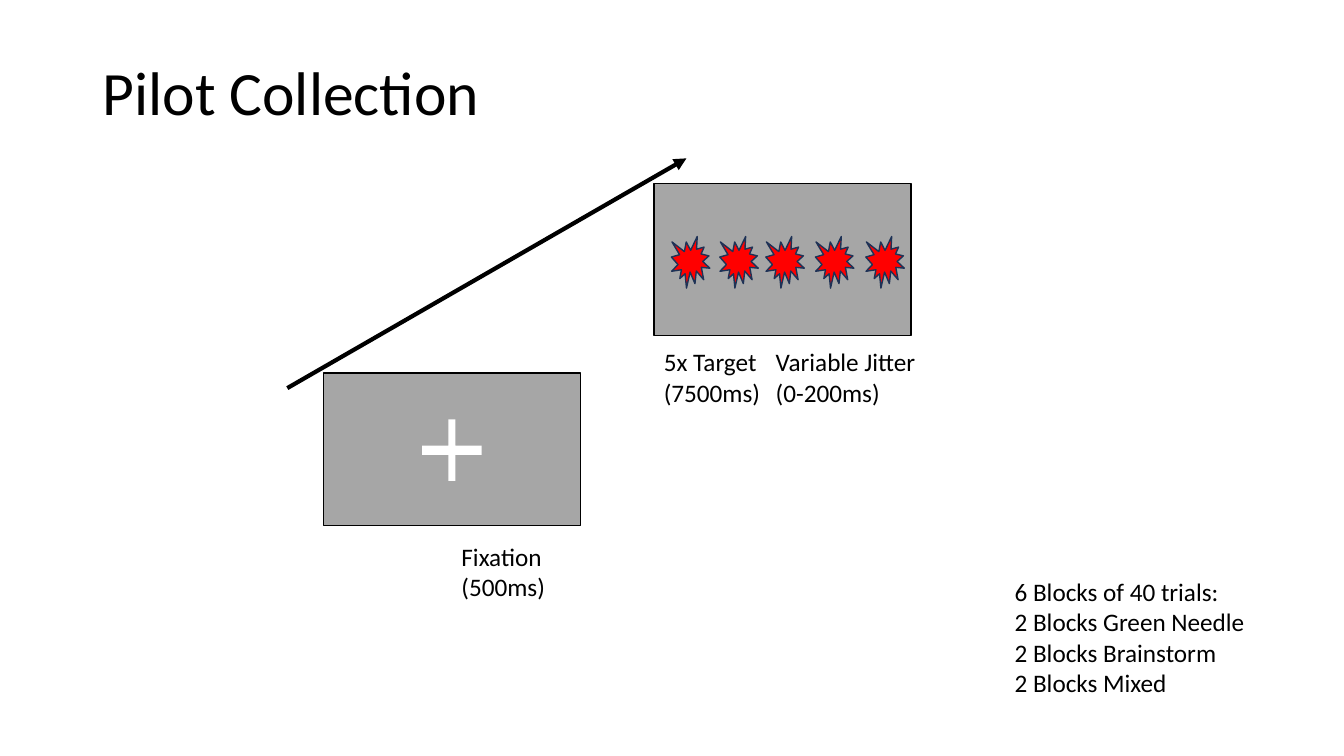
from dataclasses import dataclass

from lxml.etree import SubElement
from pptx import Presentation
from pptx.dml.color import RGBColor
from pptx.enum.shapes import MSO_CONNECTOR as Connector, MSO_SHAPE as Shape
from pptx.enum.text import MSO_ANCHOR as Anchor, MSO_AUTO_SIZE as AutoSize
from pptx.oxml.ns import qn
from pptx.util import Cm, Pt


@dataclass(frozen=True)
class Theme:
    font: str = "Calibri"
    ink: str = "000000"
    screen: str = "A6A6A6"
    target: str = "FF0000"
    target_edge: str = "1E3256"
    cross: str = "FFFFFF"
    title_size: int = 44
    body_size: int = 18
    outline: int = 1
    arrow: int = 3


class Page:
    def __init__(self, deck, theme):
        self.theme = theme
        self.slide = deck.slides.add_slide(deck.slide_layouts[6])

    def group(self):
        return self.slide.shapes.add_group_shape().shapes

    def shape(self, layer, kind, place, fill, edge=None):
        item = layer.add_shape(kind, *map(Cm, place))
        item.shadow.inherit = False
        item.fill.solid()
        item.fill.fore_color.rgb = RGBColor.from_string(fill)
        if edge:
            item.line.color.rgb = RGBColor.from_string(edge)
            item.line.width = Pt(self.theme.outline)
        else:
            item.line.fill.background()
        return item

    def screen(self, layer, left, top):
        place = (left, top, 6.48, 3.84)
        return self.shape(layer, Shape.RECTANGLE, place, self.theme.screen, self.theme.ink)

    def text(self, layer, place, words):
        box = layer.add_textbox(*map(Cm, place))
        frame = box.text_frame
        frame.word_wrap = True
        frame.auto_size = AutoSize.SHAPE_TO_FIT_TEXT
        frame.text = words
        self.style(frame, self.theme.body_size)

    def title(self, words):
        box = self.slide.shapes.add_textbox(Cm(2.34), Cm(0.58), Cm(29.21), Cm(3.68))
        frame = box.text_frame
        frame.word_wrap = True
        frame.vertical_anchor = Anchor.MIDDLE
        frame.text = words
        frame.paragraphs[0].line_spacing = 0.9
        self.style(frame, self.theme.title_size)

    def style(self, frame, size):
        for para in frame.paragraphs:
            for span in para.runs:
                span.font.name = self.theme.font
                span.font.size = Pt(size)
                span.font.color.rgb = RGBColor.from_string(self.theme.ink)

    def arrow(self, start, end):
        line = self.slide.shapes.add_connector(Connector.STRAIGHT, *map(Cm, start + end))
        line.line.color.rgb = RGBColor.from_string(self.theme.ink)
        line.line.width = Pt(self.theme.arrow)
        SubElement(line.line._get_or_add_ln(), qn("a:tailEnd"), type="triangle")
        SubElement(line._element.spPr, qn("a:effectLst"))


def main():
    deck = Presentation()
    deck.slide_width, deck.slide_height = Cm(33.87), Cm(19.05)
    theme = Theme()
    page = Page(deck, theme)

    target_screen = page.group()
    page.screen(target_screen, 16.48, 4.62)
    for left in (16.92, 18.14, 19.3, 20.55, 21.82):
        place = (left, 5.96, 0.97, 1.3)
        page.shape(target_screen, Shape.EXPLOSION1, place, theme.target, theme.target_edge)

    page.arrow((7.24, 9.78), (17.3, 3.99))

    fixation_screen = page.group()
    page.screen(fixation_screen, 8.15, 9.4)
    cross = page.shape(fixation_screen, Shape.CROSS, (10.64, 10.57, 1.5, 1.55), theme.cross)
    cross.adjustments[0] = 0.44
    page.text(fixation_screen, (11.38, 13.51, 3.78, 1.8), "Fixation\n(500ms)")

    shapes = page.slide.shapes
    page.text(shapes, (19.3, 8.61, 6.02, 1.8), "Variable Jitter\n(0-200ms)")
    page.text(shapes, (16.48, 8.61, 3.78, 1.8), "5x Target\n(7500ms)")
    page.title("Pilot Collection")
    blocks = (
        "6 Blocks of 40 trials:",
        "2 Blocks Green Needle",
        "2 Blocks Brainstorm",
        "2 Blocks Mixed",
    )
    page.text(shapes, (25.32, 14.4, 6.48, 3.33), "\n".join(blocks))

    deck.save("out.pptx")


if __name__ == "__main__":
    main()
